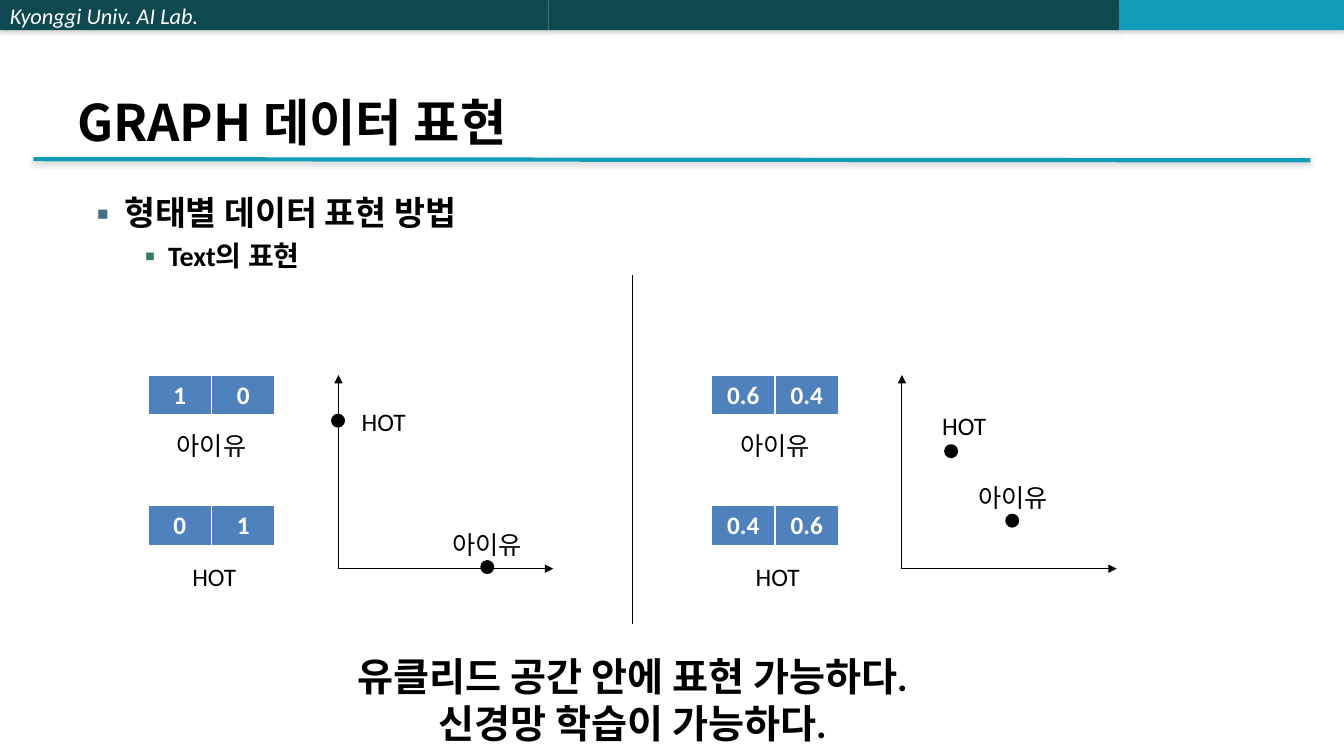
from dataclasses import dataclass

from lxml import etree
from pptx import Presentation
from pptx.dml.color import RGBColor
from pptx.enum.shapes import MSO_CONNECTOR, MSO_SHAPE
from pptx.enum.text import MSO_ANCHOR, MSO_AUTO_SIZE, PP_ALIGN
from pptx.oxml.ns import qn
from pptx.util import Cm, Pt

RECT, OVAL = MSO_SHAPE.RECTANGLE, MSO_SHAPE.OVAL
LINE = MSO_CONNECTOR.STRAIGHT
LEFT, MID = PP_ALIGN.LEFT, PP_ALIGN.CENTER
TOP, CENTRE, LOW = MSO_ANCHOR.TOP, MSO_ANCHOR.MIDDLE, MSO_ANCHOR.BOTTOM
FIXED = MSO_AUTO_SIZE.NONE

BLACK = RGBColor(0, 0, 0)
WHITE = RGBColor(0xFF, 0xFF, 0xFF)
DARK = RGBColor(0x0E, 0x48, 0x51)
TEAL = RGBColor(0x13, 0x9C, 0xB7)
BLUE = RGBColor(0x4F, 0x81, 0xBD)
SLATE = RGBColor(0x43, 0x70, 0x85)
GREEN = RGBColor(0x35, 0x7E, 0x69)
GREY = RGBColor(0x80, 0x80, 0x80)
SANS, KOREAN = "Calibri", "Noto Sans CJK KR"

# Offsets from the first panel to the second, and the shared plot frame, in cm
STEP = 14.2
ZERO_X, ZERO_Y, END_X, END_Y = 8.53, 14.33, 13.94, 9.45
DOT = 0.28


@dataclass
class Bar:
    left: float
    width: float
    color: RGBColor
    text: str = ""


@dataclass
class Item:
    text: str
    size: int
    indent: float
    hang: float
    color: RGBColor


@dataclass
class Word:
    name: str
    vector: tuple[str, str]
    row: float          # top of the vector table
    shift: float        # small sideways shift of the caption
    dot: tuple[float, float]
    label: tuple[float, float]


BARS = [
    Bar(0, 13.82, DARK, "Kyonggi Univ. AI Lab."),
    Bar(13.82, 14.4, DARK),
    Bar(28.22, 5.65, TEAL),
]
ITEMS = [
    Item("형태별 데이터 표현 방법", 24, 0.95, 0.95, SLATE),
    Item("Text의 표현", 20, 2.06, 0.79, GREEN),
]
PANELS = [
    [Word("아이유", ("1", "0"), 9.45, 0, (12.14, 14.15), (11, 13.21)),
     Word("HOT", ("0", "1"), 12.73, 0.07, (8.38, 10.46), (8.4, 10.11))],
    [Word("아이유", ("0.6", "0.4"), 9.45, 0, (25.37, 12.98), (24.26, 12.04)),
     Word("HOT", ("0.4", "0.6"), 12.73, 0.07, (23.83, 11.23), (23.03, 10.21))],
]


def style(par, size: int, color: RGBColor = BLACK, bold: bool = False,
          align=MID, face: str = SANS) -> None:
    par.alignment = align
    font = par.font
    font.name, font.size, font.bold = face, Pt(size), bold
    font.color.rgb = color


def shade(effects, alpha: int, dist: float) -> None:
    glow = etree.SubElement(effects, qn("a:outerShdw"), blurRad=str(Pt(3.1)),
                            dist=str(Pt(dist)), dir="5400000", rotWithShape="0")
    tint = etree.SubElement(glow, qn("a:srgbClr"), val=str(GREY))
    etree.SubElement(tint, qn("a:alpha"), val=str(alpha * 1000))


def rule(slide, start: tuple, end: tuple, color: RGBColor = BLACK,
         width: float = 0.75, arrow: bool = False):
    line = slide.shapes.add_connector(LINE, *map(Cm, start + end))
    line.line.color.rgb = color
    line.line.width = Pt(width)
    props = line._element.spPr
    if arrow:
        etree.SubElement(props.find(qn("a:ln")), qn("a:tailEnd"), type="triangle")
    return etree.SubElement(props, qn("a:effectLst"))


def write(slide, box: tuple, lines: list[str], size: int, bold: bool = False) -> None:
    frame = slide.shapes.add_textbox(*map(Cm, box)).text_frame
    frame.word_wrap = True
    frame.text = "\n".join(lines)
    for par in frame.paragraphs:
        style(par, size, bold=bold)


def head(slide) -> None:
    for bar in BARS:
        shape = slide.shapes.add_shape(RECT, Cm(bar.left), 0, Cm(bar.width), Cm(0.76))
        shape.fill.solid()
        shape.fill.fore_color.rgb = bar.color
        shape.line.fill.background()
        shape.shadow.inherit = False
        shade(shape._element.spPr.find(qn("a:effectLst")), 35, 1.8)
        if bar.text:
            frame = shape.text_frame
            frame.text, frame.vertical_anchor = bar.text, CENTRE
            style(frame.paragraphs[0], 16, WHITE, align=LEFT)
            frame.paragraphs[0].font.italic = True
    shade(rule(slide, (0.84, 4.01), (33.02, 4.04), TEAL, 3), 38, 1.6)


def title(slide, text: str) -> None:
    shape = slide.shapes.title
    shape.left, shape.top, shape.width, shape.height = map(Cm, (1.7, 0.76, 30.48, 3.18))
    frame = shape.text_frame
    frame.text, frame.vertical_anchor, frame.auto_size = text, LOW, FIXED
    style(frame.paragraphs[0], 36, bold=True, align=LEFT, face=KOREAN)


def bullets(slide) -> None:
    frame = slide.shapes.add_textbox(*map(Cm, (1.93, 4.72, 30.48, 2.3))).text_frame
    frame.word_wrap = True
    frame.text = "\n".join(item.text for item in ITEMS)
    for rank, (par, item) in enumerate(zip(frame.paragraphs, ITEMS)):
        par.level = rank
        if rank:
            par.space_before = Pt(4)
        props = par._p.get_or_add_pPr()
        props.set("marL", str(Cm(item.indent)))
        props.set("indent", str(-Cm(item.hang)))
        tint = etree.SubElement(props, qn("a:buClr"))
        etree.SubElement(tint, qn("a:srgbClr"), val=str(item.color))
        etree.SubElement(props, qn("a:buFont"), typeface=KOREAN)
        etree.SubElement(props, qn("a:buChar"), char="▪")
        style(par, item.size, bold=True, align=LEFT)


def border(cell) -> None:
    props = cell._tc.get_or_add_tcPr()
    for rank, (side, width) in enumerate(zip("LRTB", (1, 1, 1, 3))):
        edge = etree.Element(qn(f"a:ln{side}"), w=str(Pt(width)))
        fill = etree.SubElement(edge, qn("a:solidFill"))
        etree.SubElement(fill, qn("a:srgbClr"), val=str(WHITE))
        props.insert(rank, edge)


def vector(slide, left: float, top: float, values: tuple[str, str]) -> None:
    box = map(Cm, (left, top, 3.2, 1.04))
    table = slide.shapes.add_table(1, len(values), *box).table
    for cell, value in zip(table.iter_cells(), values):
        cell.text, cell.vertical_anchor = value, TOP
        cell.fill.solid()
        cell.fill.fore_color.rgb = BLUE
        border(cell)
        style(cell.text_frame.paragraphs[0], 18, WHITE, True)


def panel(slide, words: list[Word], shift: float) -> None:
    zero = (ZERO_X + shift, ZERO_Y)
    for end in ((END_X + shift, ZERO_Y), (ZERO_X + shift, END_Y)):
        rule(slide, zero, end, arrow=True)
    for word in words:
        vector(slide, 3.73 + shift, word.row, word.vector)
        caption = (4.06 + shift + word.shift, word.row + 1.28)
        for spot in (caption, word.label):
            write(slide, spot + (2.54, 1.02), [word.name], 18)
        dot = slide.shapes.add_shape(OVAL, *map(Cm, word.dot + (DOT, DOT)))
        dot.fill.solid()
        dot.fill.fore_color.rgb = dot.line.color.rgb = BLACK
        dot.line.width = Pt(2)
        dot.shadow.inherit = False


def main() -> None:
    deck = Presentation()
    deck.slide_width, deck.slide_height = Cm(33.87), Cm(19.05)
    slide = deck.slides.add_slide(deck.slide_layouts[5])

    # Header, title and bullets
    head(slide)
    title(slide, "GRAPH 데이터 표현")
    bullets(slide)

    # Two vector panels and the divider between them
    for rank, words in enumerate(PANELS):
        panel(slide, words, rank * STEP)
    rule(slide, (15.93, 6.93), (15.93, 15.72))

    # Conclusion
    write(slide, (7.24, 16.31, 17.4, 2.64),
          ["유클리드 공간 안에 표현 가능하다.", "신경망 학습이 가능하다."], 28, True)
    deck.save("out.pptx")


if __name__ == "__main__":
    main()
